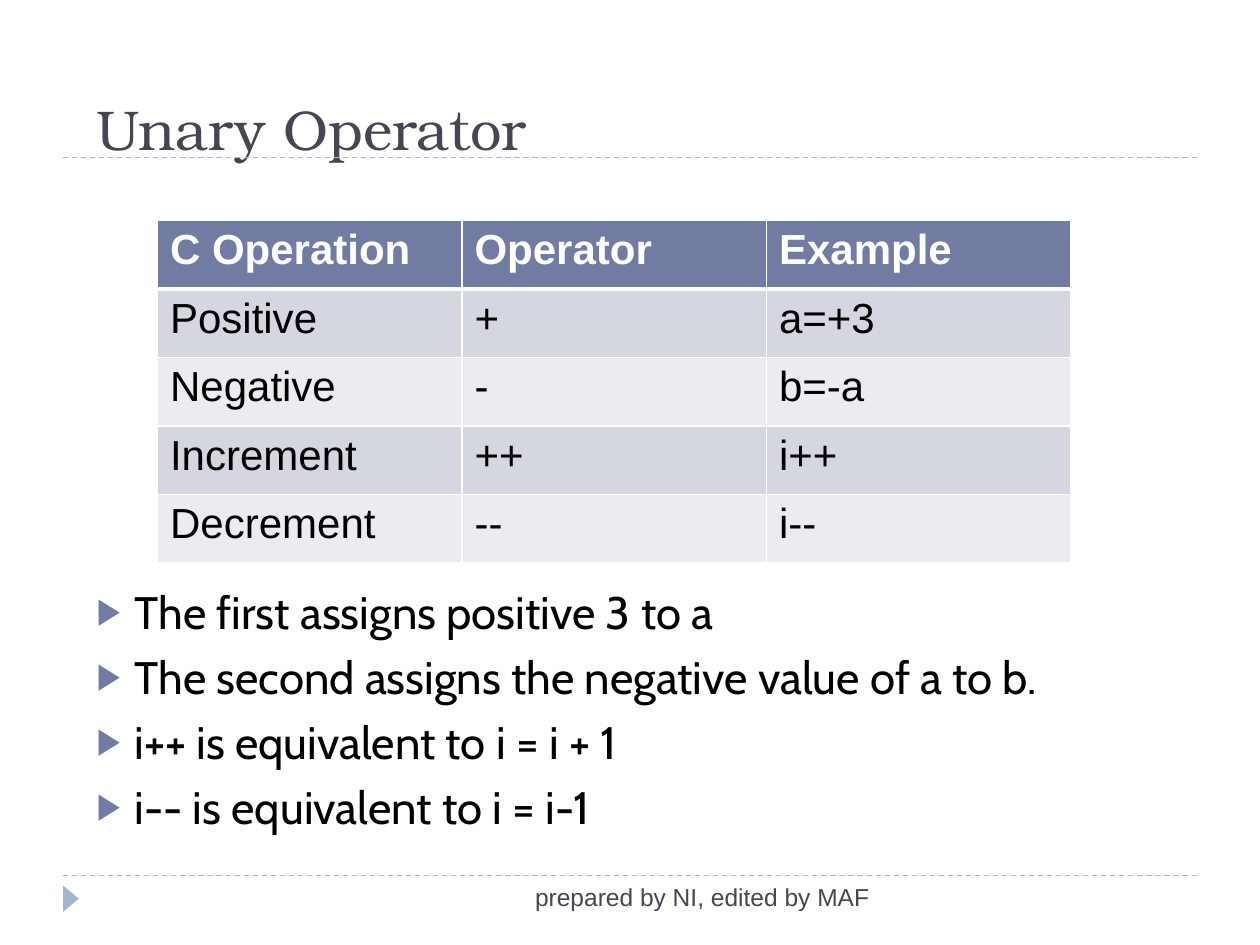
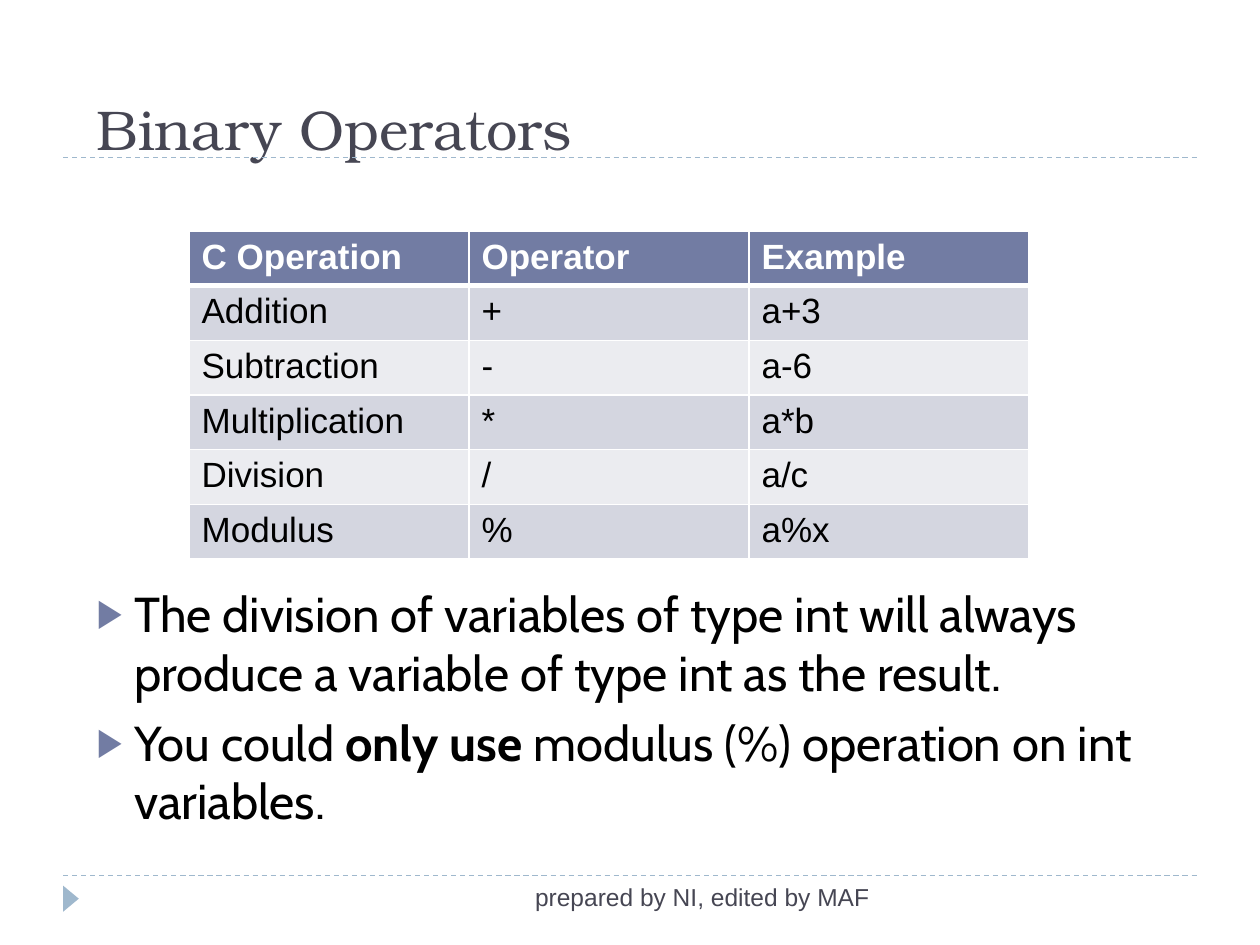
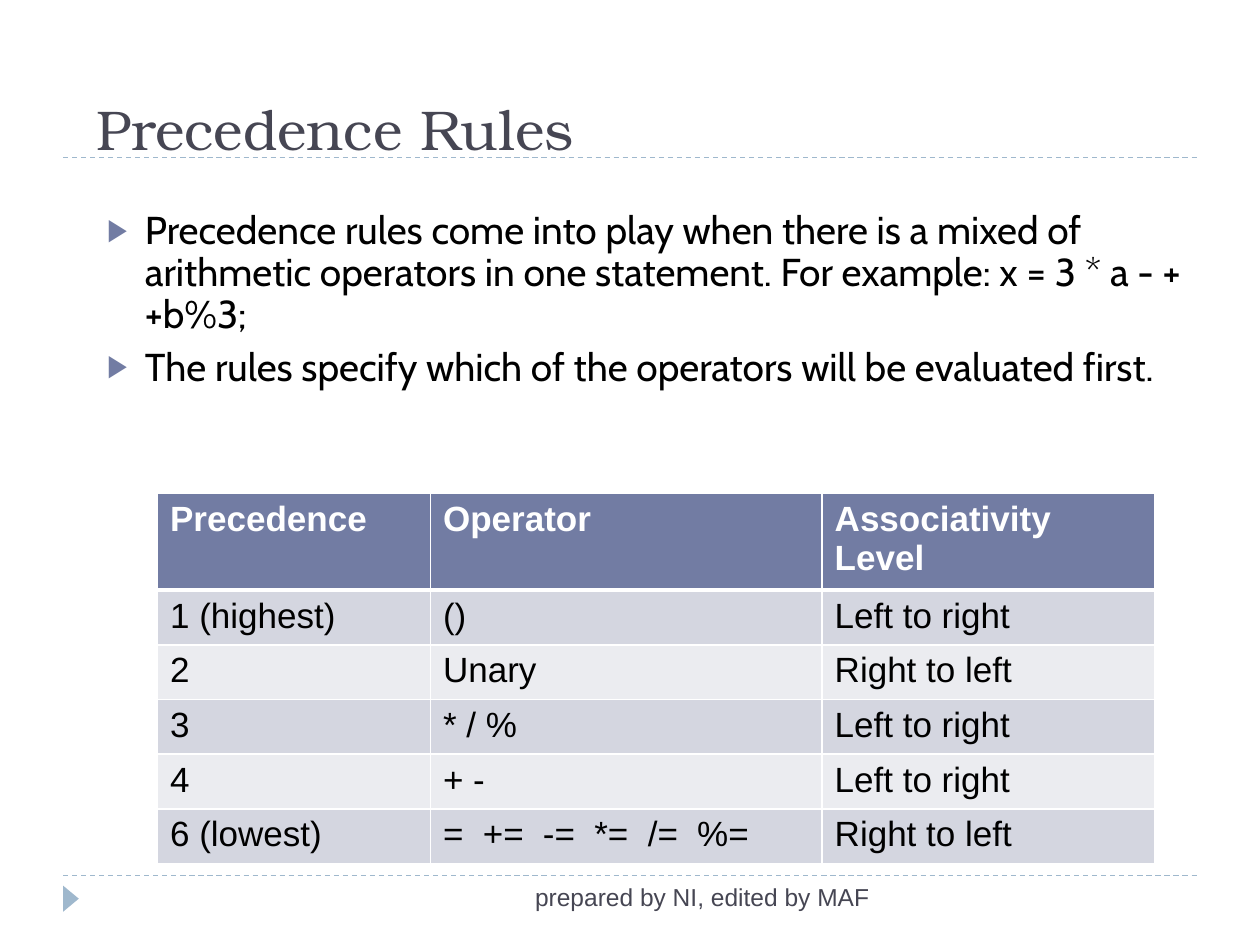
from lxml import etree
from pptx import Presentation
from pptx import util as u
from pptx.dml.color import RGBColor
from pptx.enum import dml, shapes, text
from pptx.oxml.ns import qn

GRID = u.Inches(1 / 12)  # the slide is 120 columns by 90 rows
SLIDE_BOX = (0, 0, 120, 90)
TITLE_BOX = (8, 3, 107, 13)

INK, BLACK, WHITE = "464653", "000000", "FFFFFF"
ACCENT, RULE = "727CA3", "9FB8CD"
STRIPES = ("D4D6E0", "EBECF0")
TITLE_FONT, BODY_FONT, TABLE_FONT = "TeX Gyre Bonum", "Cabin", "Arial"
FOOTER = "prepared by NI, edited by MAF"
ASSIGNMENT_TABS = (3.8, 9.5, 14.4, 19.5, 24.2)

SLIDES = [
    dict(
        title="Unary Operator",
        body_box=(8, 55, 107, 27), body_size=26,
        points=["The first assigns positive 3 to a",
                "The second assigns the negative value of a to b.",
                "i++ is equivalent to i = i + 1",
                "i-- is equivalent to i = i-1"],
        table_box=(15, 21, 87, 32.6), table_size=24, columns=(29, 29, 29),
        rows=[("C Operation", "Operator", "Example"),
              ("Positive", "+", "a=+3"),
              ("Negative", "-", "b=-a"),
              ("Increment", "++", "i++"),
              ("Decrement", "--", "i--")]),
    dict(
        title="Binary Operators",
        body_box=(8, 55, 107, 25), body_size=28,
        points=["The division of variables of type int will always "
                "produce a variable of type int as the result.",
                ("You could ", "only use",
                 " modulus (%) operation on int variables.")],
        table_box=(18, 22, 80, 31.2), table_size=20, columns=(1, 1, 1),
        rows=[("C Operation", "Operator", "Example"),
              ("Addition", "+", "a+3"),
              ("Subtraction", "-", "a-6"),
              ("Multiplication", "*", "a*b"),
              ("Division", "/", "a/c"),
              ("Modulus", "%", "a%x")]),
    dict(
        title="Precedence Rules",
        body_box=(9, 19.5, 106, 27.5), body_size=22.2, line_spacing=0.9,
        points=["Precedence rules come into play when there is a mixed of "
                "arithmetic operators in one statement. "
                "For example: x = 3 * a - ++b%3;",
                "The rules specify which of the operators will be "
                "evaluated first."],
        table_box=(15, 47, 95, 31.2), table_size=20, columns=(26, 37.3, 31.7),
        rows=[("Precedence", "Operator", "Associativity Level"),
              ("1 (highest)", "()", "Left to right"),
              ("2", "Unary", "Right to left"),
              ("3", "* / %", "Left to right"),
              ("4", "+ -", "Left to right"),
              ("6 (lowest)", "=\t+=\t-=\t*=\t/=\t%=", "Right to left")]),
]


def colour(value):
    return RGBColor.from_string(value)


def grid(*lengths):
    return [round(length * GRID) for length in lengths]


def add(parent, tag, **attributes):
    return etree.SubElement(parent, qn(tag), attributes)


def add_solid(parent, tag, hue, **attributes):
    """Append a tag holding a solid fill."""
    holder = add(parent, tag, **attributes)
    add(add(holder, "a:solidFill"), "a:srgbClr", val=hue)


def add_bullet(properties):
    indent = u.Inches(0.3)
    properties.set("marL", str(indent))
    properties.set("indent", str(-indent))
    add(add(properties, "a:buClr"), "a:srgbClr", val=ACCENT)
    add(properties, "a:buSzPct", val="80000")
    add(properties, "a:buChar", char="▶")


def add_tabs(properties, stops):
    tab_list = add(properties, "a:tabLst")
    for stop in grid(*stops):
        add(tab_list, "a:tab", pos=str(stop), algn="l")


def write(frame, paragraphs, font, size, hue, bold=False, bullet=False,
          align=text.PP_ALIGN.LEFT, anchor=text.MSO_ANCHOR.TOP,
          before=0, line_spacing=None):
    """Fill a frame; in a paragraph given as a tuple every second run is bold."""
    frame.word_wrap = True
    frame.vertical_anchor = anchor
    for number, content in enumerate(paragraphs):
        paragraph = frame.add_paragraph() if number else frame.paragraphs[0]
        properties = paragraph._p.get_or_add_pPr()
        runs = (content,) if isinstance(content, str) else content
        if bullet:
            add_bullet(properties)
        if "\t" in runs[0]:
            add_tabs(properties, ASSIGNMENT_TABS)
        paragraph.alignment = align
        paragraph.space_before = u.Pt(before if number else 0)
        if line_spacing:
            paragraph.line_spacing = line_spacing
        for position, words in enumerate(runs):
            run = paragraph.add_run()
            run.text = words
            run.font.name = font
            run.font.size = u.Pt(size)
            run.font.bold = bold or position % 2 == 1
            run.font.color.rgb = colour(hue)


def fill_placeholder(placeholder, box, paragraphs, **style):
    (placeholder.left, placeholder.top,
     placeholder.width, placeholder.height) = grid(*box)
    placeholder.text_frame.auto_size = text.MSO_AUTO_SIZE.NONE
    write(placeholder.text_frame, paragraphs, **style)


def add_rule(slide, left, right, y):
    rule = slide.shapes.add_connector(
        shapes.MSO_CONNECTOR.STRAIGHT, *grid(left, y, right, y))
    rule.line.color.rgb = colour(RULE)
    rule.line.width = u.Pt(0.75)
    rule.line.dash_style = dml.MSO_LINE.DASH
    add(rule._element.spPr, "a:effectLst")


def add_frame(slide, box):
    """Draw the rules, the footer marker and the footer text."""
    left, top, width, height = box
    footer_top = top + height - 6.6
    for y in (top + 15, footer_top):
        add_rule(slide, left + 6, left + width - 6, y)

    marker = slide.shapes.add_shape(
        shapes.MSO_SHAPE.ISOSCELES_TRIANGLE,
        *grid(left + 5.5, footer_top + 1.44, 2.5, 1.5))
    marker.rotation = 90
    marker.shadow.inherit = False
    marker.fill.solid()
    marker.fill.fore_color.rgb = colour(RULE)
    marker.line.fill.background()

    credit = slide.shapes.add_textbox(*grid(left + 38, footer_top, 46, 4.8))
    write(credit.text_frame, [FOOTER], font=TABLE_FONT, size=14, hue=INK,
          align=text.PP_ALIGN.RIGHT)


def style_cell(cell, words, row, size):
    header = row == 0
    properties = cell._tc.get_or_add_tcPr()
    widths = dict(lnL=1, lnR=1, lnT=3 if row == 1 else 1, lnB=3 if header else 1)
    for side, width in widths.items():
        add_solid(properties, f"a:{side}", WHITE, w=str(u.Pt(width)))
    cell.fill.solid()
    cell.fill.fore_color.rgb = colour(ACCENT if header else STRIPES[(row - 1) % 2])
    write(cell.text_frame, [words], font=TABLE_FONT, size=size, bold=header,
          hue=WHITE if header else BLACK)


def add_operator_table(slide, box, columns, rows, size):
    table = slide.shapes.add_table(len(rows), len(columns), *grid(*box)).table
    for column, share in zip(table.columns, columns):
        column.width = grid(box[2] * share / sum(columns))[0]
    for row, entries in enumerate(rows):
        table.rows[row].height = grid(box[3] / len(rows))[0]
        for column, words in enumerate(entries):
            style_cell(table.cell(row, column), words, row, size)


def add_operator_slide(deck, content):
    slide = deck.slides.add_slide(deck.slide_layouts[1])
    add_frame(slide, SLIDE_BOX)
    fill_placeholder(slide.shapes.title, TITLE_BOX, [content["title"]],
                     font=TITLE_FONT, size=32, hue=INK,
                     anchor=text.MSO_ANCHOR.BOTTOM)
    fill_placeholder(slide.placeholders[1], content["body_box"],
                     content["points"], font=BODY_FONT,
                     size=content["body_size"], hue=BLACK, bullet=True,
                     before=6, line_spacing=content.get("line_spacing"))
    add_operator_table(slide, content["table_box"], content["columns"],
                       content["rows"], content["table_size"])


def main():
    deck = Presentation()
    deck.slide_width, deck.slide_height = grid(*SLIDE_BOX[2:])
    for content in SLIDES:
        add_operator_slide(deck, content)
    deck.save("out.pptx")


if __name__ == "__main__":
    main()
